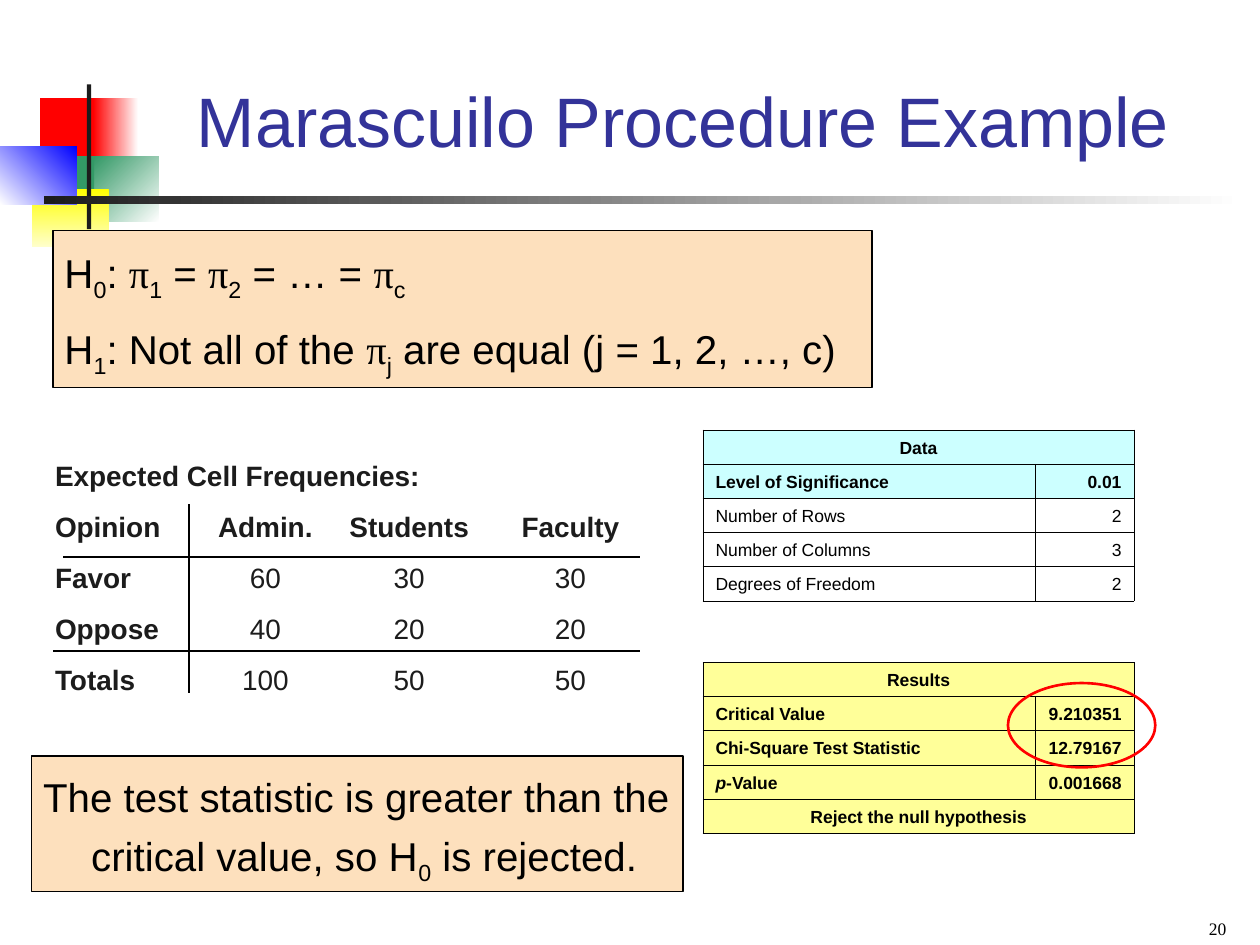
from lxml.etree import SubElement
from pptx import Presentation
from pptx.dml.color import RGBColor
from pptx.enum.shapes import MSO_CONNECTOR, MSO_SHAPE
from pptx.enum.text import MSO_ANCHOR, PP_ALIGN
from pptx.oxml.ns import qn
from pptx.util import Cm, Pt

TITLE = "Marascuilo Procedure Example"
HYPO = [
    [("H", ""), ("0", "sub"), (": ", ""), ("π", "greek"), ("1", "sub"), (" = ", ""),
     ("π", "greek"), ("2", "sub"), (" = … = ", ""), ("π", "greek"), ("c", "sub")],
    [("H", ""), ("1", "sub"), (": Not all of the ", ""), ("π", "greek"), ("j", "sub"),
     (" are equal (j = 1, 2, …, c)", "")],
]
VERDICT = [[("The test statistic is greater than the critical value, so H", ""),
            ("0", "sub"), (" is rejected.", "")]]
COUNTS = [
    ("Favor", 60, 30, 30),
    ("Oppose", 40, 20, 20),
    ("Totals", 100, 50, 50),
]
FREQ = [
    [("Expected Cell Frequencies:", "bold")],
    [("Opinion\tAdmin.\tStudents\tFaculty", "bold")],
] + [[(name, "bold"), ("".join(f"\t{n}" for n in nums), "")] for name, *nums in COUNTS]
TABS = [4.24, 7.14, 10.39]

CYAN, LEMON = "CCFFFF", "FFFF99"
ROWS = [
    (CYAN, "Data", None),
    (CYAN, "Level of Significance", "0.01"),
    (None, "Number of Rows", "2"),
    (None, "Number of Columns", "3"),
    (None, "Degrees of Freedom", "2"),
    None,
    (LEMON, "Results", None),
    (LEMON, "Critical Value", "9.210351"),
    (LEMON, "Chi-Square Test Statistic", "12.79167"),
    (LEMON, [("p", "italic"), ("-Value", "")], "0.001668"),
    (LEMON, "Reject the null hypothesis", None),
]
WIDTHS, ROW, GAP = [6.71, 1.98], 0.69, 1.24

DECOR = [
    ((0.81, 1.98, 1.22, 1.32), "FF0000"),
    ((1.88, 1.98, 0.91, 1.32), ("FFFFFF", "FF0000", 180)),
    ((1.9, 3.15, 1.3, 1.32), ("FFFFFF", "339966", 135)),
    ((1.09, 3.15, 0.81, 1.32), "339966"),
    ((0.64, 3.81, 1.55, 1.17), ("FFFF00", "FFFFCC", 270)),
    ((0, 2.95, 1.55, 1.17), ("0000FF", "FFFFFF", 225)),
    ((1.75, 1.7, 0.09, 2.92), "1C1C1C"),
    ((0.89, 3.96, 24.16, 0.15), ("FFFFFF", "1C1C1C", 180)),
]
RULES = [
    (1.27, 11.23, 12.9, 11.23),
    (3.81, 10.16, 3.81, 13.97),
    (1.07, 13.13, 12.9, 13.13),
]
BOXES = [((1.07, 4.65, 16.51, 3.17), HYPO), ((0.64, 15.24, 13.13, 2.74), VERDICT)]


def tint(code):
    return RGBColor.from_string(code)


def cms(spot):
    return [Cm(n) for n in spot]


def write(frame, text, size=10, color="000000", font="Arial", bold=False, align=PP_ALIGN.LEFT,
          anchor=MSO_ANCHOR.TOP, gap=0, lead=None, hang=0, tabs=()):
    frame.word_wrap = True
    frame.vertical_anchor = anchor
    paras = [[(text, "")]] if isinstance(text, str) else text
    for i, runs in enumerate(paras):
        para = frame.add_paragraph() if i else frame.paragraphs[0]
        props = para._p.get_or_add_pPr()
        if hang:
            props.set("marL", str(Cm(hang)))
            props.set("indent", str(-Cm(hang)))
        if tabs:
            stops = SubElement(props, qn("a:tabLst"))
            for x in tabs:
                SubElement(stops, qn("a:tab"), pos=str(Cm(x)), algn="ctr")
        para.alignment = align
        para.space_before = Pt(gap if i else 0)
        if lead:
            para.line_spacing = lead
        for words, kind in runs:
            run = para.add_run()
            run.text = words
            run.font.size = Pt(size)
            run.font.name = "Times New Roman" if kind == "greek" else font
            run.font.bold = bold or kind == "bold"
            run.font.italic = kind == "italic"
            run.font.color.rgb = tint(color)
            if kind == "sub":
                run._r.get_or_add_rPr().set("baseline", "-25000")


def shape(spot, fill=None, line=None, width=0.75, kind=MSO_SHAPE.RECTANGLE):
    item = slide.shapes.add_shape(kind, *cms(spot))
    item.shadow.inherit = False
    if fill is None:
        item.fill.background()
    elif isinstance(fill, str):
        item.fill.solid()
        item.fill.fore_color.rgb = tint(fill)
    else:
        *ends, angle = fill
        item.fill.gradient()
        item.fill.gradient_angle = angle
        for stop, code in zip(item.fill.gradient_stops, ends):
            stop.color.rgb = tint(code)
    if line:
        item.line.color.rgb = tint(line)
        item.line.width = Pt(width)
    else:
        item.line.fill.background()
    return item


def rule(ends):
    line = slide.shapes.add_connector(MSO_CONNECTOR.STRAIGHT, *cms(ends))
    line.line.color.rgb = tint("000000")
    line.line.width = Pt(1)
    SubElement(line._element.spPr, qn("a:effectLst"))


def edge(cell, sides):
    props = cell._tc.get_or_add_tcPr()
    for i, side in enumerate("LRTB"):
        line = props.makeelement(qn(f"a:ln{side}"), {"w": str(Pt(0.45))})
        if side in sides:
            SubElement(SubElement(line, qn("a:solidFill")), qn("a:srgbClr"), val="000000")
        else:
            SubElement(line, qn("a:noFill"))
        props.insert(i, line)


def grid():
    high = [ROW if row else GAP for row in ROWS]
    spot = (14.17, 8.67, sum(WIDTHS), sum(high))
    table = slide.shapes.add_table(len(ROWS), len(WIDTHS), *cms(spot)).table
    table.first_row = table.horz_banding = False
    for col, wide in zip(table.columns, WIDTHS):
        col.width = Cm(wide)
    for r, row in enumerate(ROWS):
        table.rows[r].height = Cm(high[r])
        fill, name, value = row or (None, None, None)
        for c, text in enumerate((name, value)):
            cell = table.cell(r, c)
            if fill:
                cell.fill.solid()
                cell.fill.fore_color.rgb = tint(fill)
            else:
                cell.fill.background()
            edge(cell, "LRTB" if row else "TB")
            cell.vertical_anchor = MSO_ANCHOR.BOTTOM
            if text:
                align = PP_ALIGN.RIGHT if c else PP_ALIGN.LEFT if value else PP_ALIGN.CENTER
                write(cell.text_frame, text if isinstance(text, str) else [text],
                      bold=bool(fill), align=align, anchor=MSO_ANCHOR.BOTTOM)
        if row and value is None:
            table.cell(r, 0).merge(table.cell(r, 1))


deck = Presentation()
deck.slide_width, deck.slide_height = Cm(25.4), Cm(19.05)
slide = deck.slides.add_slide(deck.slide_layouts[5])

for spot, fill in DECOR:
    shape(spot, fill)

head = slide.shapes.title
head.left, head.top, head.width, head.height = cms((3.2, 0.64, 21.13, 2.74))
write(head.text_frame, TITLE, size=40, color="333399", align=PP_ALIGN.CENTER,
      anchor=MSO_ANCHOR.BOTTOM)

freq = slide.shapes.add_textbox(*cms((0.86, 9.12, 12.27, 5.05)))
write(freq.text_frame, FREQ, size=16, color="1C1C1C", gap=10, tabs=TABS)
for ends in RULES:
    rule(ends)

grid()

for spot, text in BOXES:
    box = shape(spot, "FDE0BD", "000000")
    box.text_frame.margin_left, box.text_frame.margin_right = Cm(0.23), Cm(0.1)
    write(box.text_frame, text, size=23, gap=5.8, lead=1.2, hang=0.97)

shape((20.32, 13.77, 2.97, 1.7), line="FF0000", width=1.5, kind=MSO_SHAPE.OVAL)

page = slide.shapes.add_textbox(*cms((19.05, 18.16, 5.92, 0.89)))
write(page.text_frame, "20", font="Times New Roman", align=PP_ALIGN.RIGHT,
      anchor=MSO_ANCHOR.BOTTOM)

deck.save("out.pptx")
